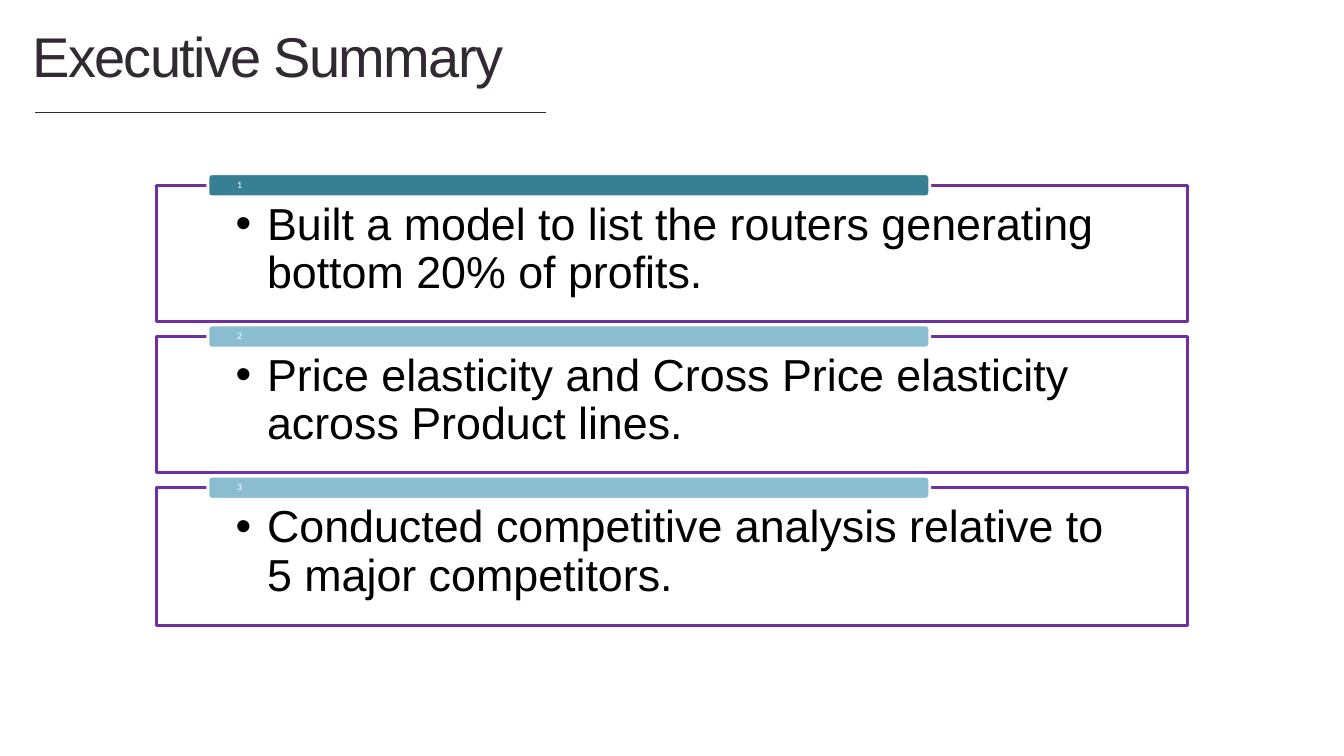
from dataclasses import dataclass

from lxml.etree import SubElement
from pptx import Presentation
from pptx.dml.color import RGBColor
from pptx.enum.shapes import MSO_CONNECTOR, MSO_SHAPE
from pptx.enum.text import MSO_ANCHOR, PP_ALIGN
from pptx.oxml.ns import qn
from pptx.shapes.autoshape import Shape
from pptx.slide import Slide
from pptx.util import Cm, Pt

INK = "312A33"
PURPLE = "7030A0"
WHITE = "FFFFFF"
BLACK = "000000"
TEAL = "377F92"
LIGHT_TEAL = "8ABDCF"

FIRST_TOP = 4.67
PITCH = 3.81
BAR_RISE = 0.29


@dataclass
class Finding:
    text: str
    bar_color: str
    height: float = 3.43


FINDINGS = [
    Finding("Built a model to list the routers generating bottom 20% of profits.", TEAL),
    Finding("Price elasticity and Cross Price elasticity across Product lines.", LIGHT_TEAL),
    Finding("Conducted competitive analysis relative to 5 major competitors.", LIGHT_TEAL, 3.48),
]


def color(value: str) -> RGBColor:
    return RGBColor.from_string(value)


def set_insets(shape: Shape, left: float, top: float, right: float, bottom: float) -> None:
    frame = shape.text_frame
    frame.word_wrap = True
    frame.margin_left, frame.margin_top = Cm(left), Cm(top)
    frame.margin_right, frame.margin_bottom = Cm(right), Cm(bottom)


def write(shape: Shape, text: str, size: float, font: str, ink: str, spacing: float = 0) -> None:
    """Add one left-aligned run; spacing is the letter spacing in points."""
    para = shape.text_frame.paragraphs[0]
    para.alignment = PP_ALIGN.LEFT
    span = para.add_run()
    span.text = text
    span.font.size = Pt(size)
    span.font.name = font
    span.font.color.rgb = color(ink)
    if spacing:
        span.font._element.set("spc", str(round(spacing * 100)))


def add_panel(page: Slide, kind: MSO_SHAPE, left: float, top: float, width: float,
              height: float, fill: str, line: str) -> Shape:
    panel = page.shapes.add_shape(kind, Cm(left), Cm(top), Cm(width), Cm(height))
    panel.shadow.inherit = False
    panel.fill.solid()
    panel.fill.fore_color.rgb = color(fill)
    panel.line.color.rgb = color(line)
    panel.line.width = Pt(2)
    panel.text_frame.paragraphs[0].line_spacing = 0.9
    return panel


def add_bullet(shape: Shape) -> None:
    properties = shape.text_frame.paragraphs[0]._p.get_or_add_pPr()
    properties.set("marL", str(Cm(0.79)))
    properties.set("indent", str(-Cm(0.79)))
    SubElement(properties, qn("a:buFont")).set("typeface", "Arial")
    SubElement(properties, qn("a:buChar")).set("char", "•")


def add_title(page: Slide) -> None:
    title = page.shapes.add_textbox(Cm(0.82), Cm(0.48), Cm(14.42), Cm(1.75))
    set_insets(title, 0, 0.07, 0, 0)
    write(title, "Executive Summary", 40, "Arial", INK, spacing=-1.2)
    rule = page.shapes.add_connector(
        MSO_CONNECTOR.STRAIGHT, Cm(0.89), Cm(2.84), Cm(13.77), Cm(2.84))
    rule.line.color.rgb = color(INK)
    rule.line.width = Pt(0.48)
    SubElement(rule._element.spPr, qn("a:effectLst"))


def add_finding(page: Slide, number: int, finding: Finding) -> None:
    top = FIRST_TOP + (number - 1) * PITCH
    box = add_panel(page, MSO_SHAPE.RECTANGLE, 3.94, top, 25.98, finding.height, WHITE, PURPLE)
    fill_color = box.fill._xPr.find(qn("a:solidFill"))[0]
    SubElement(fill_color, qn("a:alpha")).set("val", "90000")
    box.text_frame.vertical_anchor = MSO_ANCHOR.TOP
    set_insets(box, 2, 0.41, 2, 0.64)
    add_bullet(box)
    write(box, finding.text, 32, "Arial", BLACK)

    bar = add_panel(page, MSO_SHAPE.ROUNDED_RECTANGLE, 5.24, top - BAR_RISE, 18.19, 0.58,
                    finding.bar_color, WHITE)
    bar.text_frame.vertical_anchor = MSO_ANCHOR.MIDDLE
    set_insets(bar, 0.71, 0, 0.71, 0)
    write(bar, str(number), 7, "Calibri", WHITE)


def main() -> None:
    deck = Presentation()
    deck.slide_width, deck.slide_height = Cm(33.87), Cm(19.05)
    page = deck.slides.add_slide(deck.slide_layouts[6])
    add_title(page)
    for number, finding in enumerate(FINDINGS, start=1):
        add_finding(page, number, finding)
    deck.save("out.pptx")


if __name__ == "__main__":
    main()
